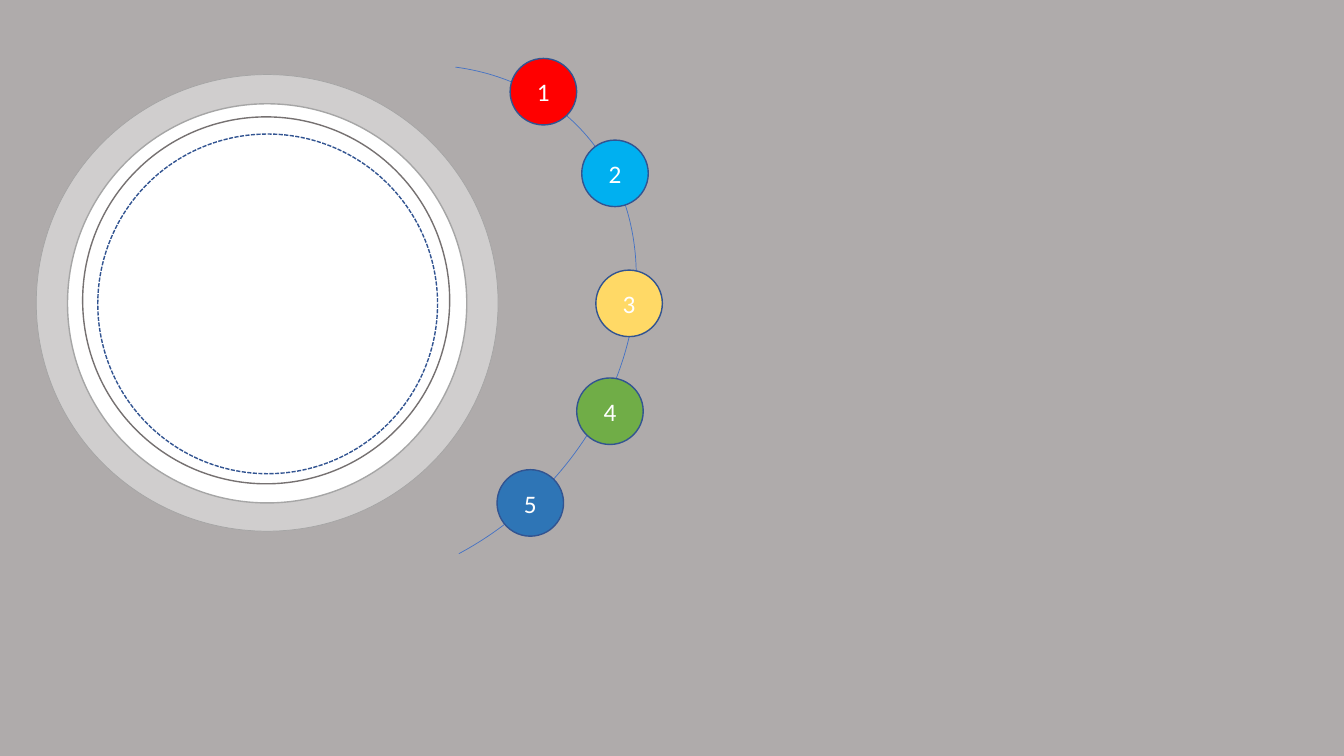
from pptx import Presentation
from pptx.dml.color import RGBColor
from pptx.enum.dml import MSO_LINE as Dash
from pptx.enum.shapes import MSO_SHAPE as Shape
from pptx.enum.text import MSO_ANCHOR as Anchor, PP_ALIGN as Align
from pptx.util import Pt

PX = 9144
NAVY, WHITE = "325491", "FFFFFF"


def paint(part, color):
    part.solid()
    part.fore_color.rgb = RGBColor.from_string(color)


def draw(slide, kind, box, fill, edge, width=1):
    shape = slide.shapes.add_shape(kind, *(n * PX for n in box))
    shape.shadow.inherit = False
    if fill:
        paint(shape.fill, fill)
    else:
        shape.fill.background()
    paint(shape.line.fill, edge)
    shape.line.width = Pt(width)
    return shape


def label(shape, text):
    frame = shape.text_frame
    frame.vertical_anchor = Anchor.MIDDLE
    line = frame.paragraphs[0]
    line.alignment = Align.CENTER
    run = line.add_run()
    run.text = text
    for name, value in {"name": "Calibri", "size": Pt(18)}.items():
        setattr(run.font, name, value)
    paint(run.font.fill, WHITE)


def trail(slide, box):
    left, top, wide, high = box
    arc = draw(slide, Shape.ARC, box, None, "4472C4", 0.5)
    arc.adjustments[0] = 144.99
    arc.adjustments[1] = 13.6
    arc.rotation = 46.2
    size = 66
    beads = [
        (372, 19, "FF0000"),
        (443, 100, "00B0F0"),
        (457, 229, "FFD966"),
        (438, 336, "70AD47"),
        (359, 427, "2E75B6"),
    ]
    for step, (x, y, color) in enumerate(beads, 1):
        spot = (left + x, top + y, size, size)
        label(draw(slide, Shape.OVAL, spot, color, NAVY), str(step))


def dial(slide, box):
    left, top, wide, high = box
    draw(slide, Shape.OVAL, box, "D0CECE", "A5A5A5", 0.5)
    rings = [
        (31, 29, 396, "A6A6A6", Dash.SOLID),
        (46, 42, 364, "767171", Dash.SOLID),
        (61, 59, 337, NAVY, Dash.SQUARE_DOT),
    ]
    for x, y, size, edge, dash in rings:
        ring = draw(slide, Shape.OVAL, (left + x, top + y, size, size), WHITE, edge)
        ring.line.dash_style = dash


def main():
    deck = Presentation()
    deck.slide_width, deck.slide_height = 1333 * PX, 750 * PX
    slide = deck.slides.add_slide(deck.slide_layouts[6])
    paint(slide.background.fill, "AFABAB")
    trail(slide, (134, 39, 469, 572))
    dial(slide, (36, 74, 458, 453))
    deck.save("out.pptx")


if __name__ == "__main__":
    main()
